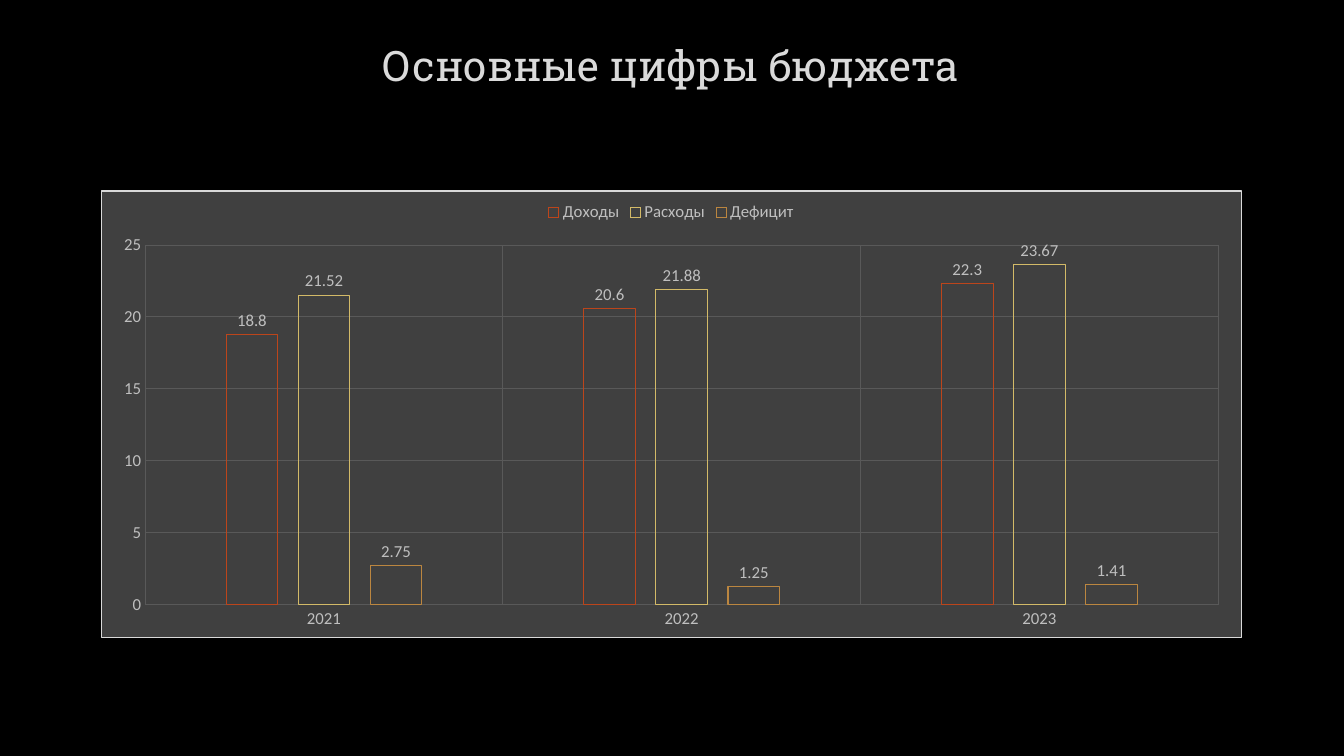
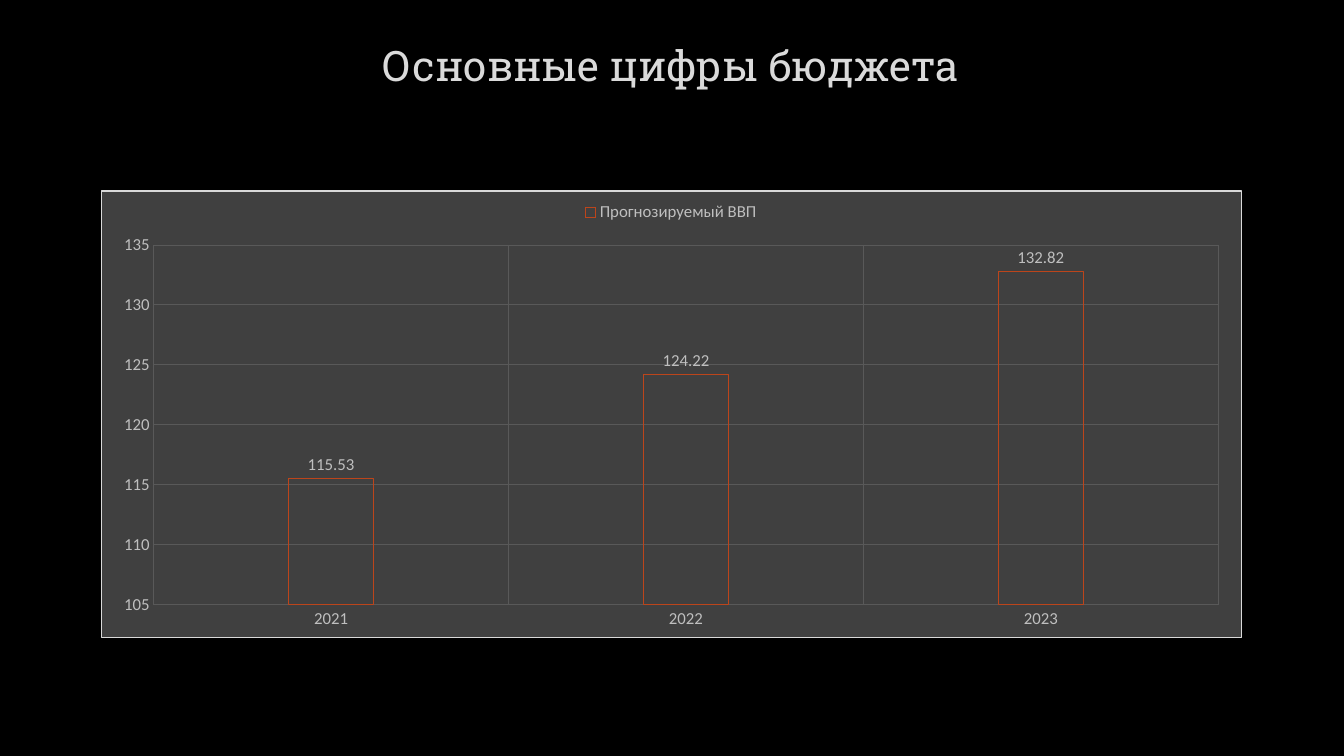
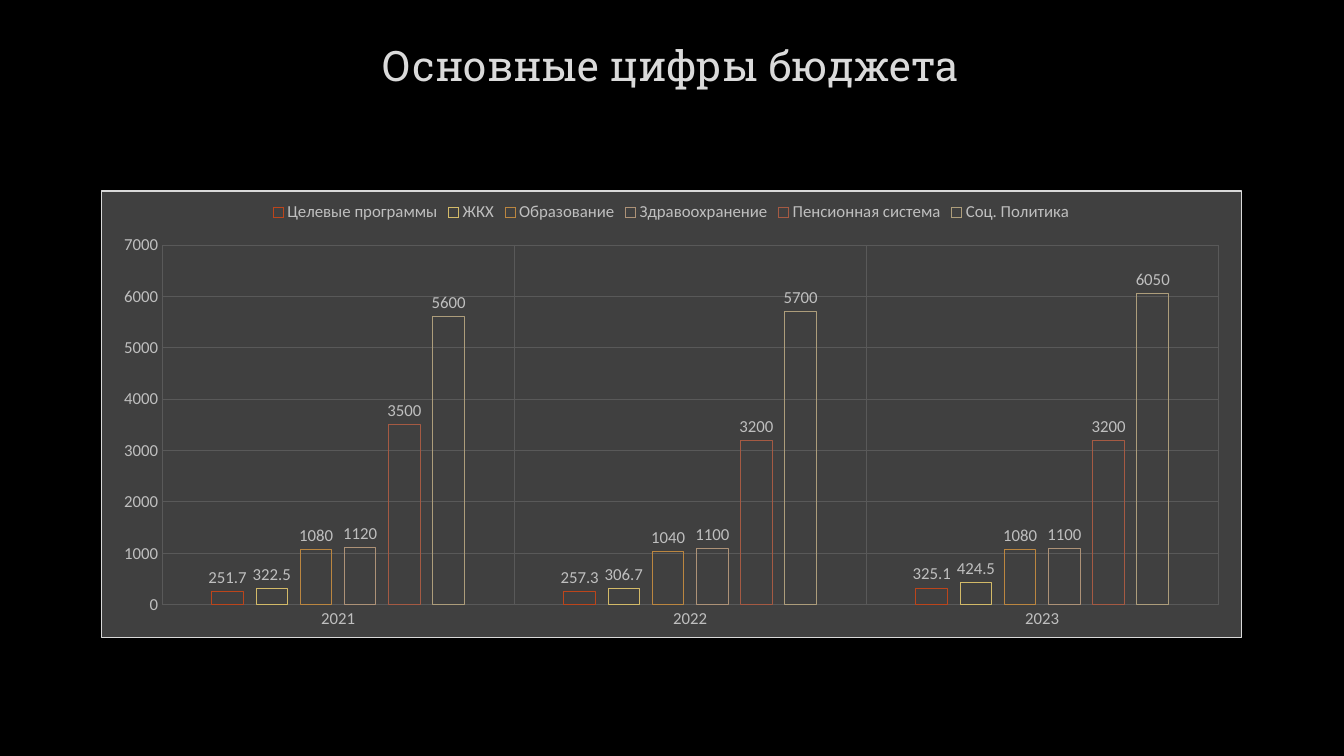
import pptx
import pptx.util
import pptx.chart.data
import pptx.dml.color
import pptx.enum.chart
import pptx.enum.text
import pptx.oxml
import pptx.oxml.ns

Cm, Pt = pptx.util.Cm, pptx.util.Pt
Color = pptx.dml.color.RGBColor
Kind = pptx.enum.chart

# Shared colours
BLACK = Color(0x00, 0x00, 0x00)
PANEL = Color(0x40, 0x40, 0x40)
GRID = Color(0x59, 0x59, 0x59)
BORDER = Color(0xD9, 0xD9, 0xD9)
HEAD = Color(0xDA, 0xDA, 0xDA)
LABEL = Color(0xBF, 0xBF, 0xBF)
BARS = [
    Color(0xBC, 0x45, 0x1B), Color(0xD3, 0xBA, 0x68), Color(0xBB, 0x86, 0x40),
    Color(0xAD, 0x92, 0x77), Color(0xA5, 0x5A, 0x43), Color(0xAD, 0x9D, 0x7B),
]

# Shared layout and text styles
LEFT, WIDTH = Cm(2.54), Cm(28.75)
THIN = Pt(0.75)
TITLE = "Основные цифры бюджета"
TITLE_FONT = {"name": "Roboto Slab", "size": Pt(30), "bold": False}
CHART_FONT = {"name": "Calibri", "size": Pt(12), "bold": False}
YEARS = ["2021", "2022", "2023"]

# Each slide: series by name, then the value scale
CHARTS = [
    ({"Доходы": (18.8, 20.6, 22.3),
      "Расходы": (21.52, 21.88, 23.67),
      "Дефицит": (2.75, 1.25, 1.41)},
     {"minimum_scale": 0, "maximum_scale": 25, "major_unit": 5}),
    ({"Прогнозируемый ВВП": (115.53, 124.22, 132.82)},
     {"minimum_scale": 105, "maximum_scale": 135, "major_unit": 5}),
    ({"Целевые программы": (251.7, 257.3, 325.1),
      "ЖКХ": (322.5, 306.7, 424.5),
      "Образование": (1080, 1040, 1080),
      "Здравоохранение": (1120, 1100, 1100),
      "Пенсионная система": (3500, 3200, 3200),
      "Соц. Политика": (5600, 5700, 6050)},
     {"minimum_scale": 0, "maximum_scale": 7000, "major_unit": 1000}),
]


def apply(target, values):
    for name, value in values.items():
        setattr(target, name, value)


def style_font(font, values, color):
    apply(font, values)
    font.color.rgb = color


def style_line(line, color):
    line.width = THIN
    line.fill.solid()
    line.fill.fore_color.rgb = color


def add_title(slide):
    box = slide.shapes.add_textbox(LEFT, Cm(0.28), WIDTH, Cm(2.69))
    frame = box.text_frame
    apply(frame, {"word_wrap": True,
                  "vertical_anchor": pptx.enum.text.MSO_ANCHOR.MIDDLE})
    para = frame.paragraphs[0]
    para.alignment = pptx.enum.text.PP_ALIGN.CENTER
    run = para.add_run()
    run.text = TITLE
    style_font(run.font, TITLE_FONT, HEAD)


def paint_panel(chart):
    """Fill and border of the whole chart area."""
    xml = (
        f'<c:spPr {pptx.oxml.ns.nsdecls("c", "a")}>'
        f'<a:solidFill><a:srgbClr val="{PANEL}"/></a:solidFill>'
        f'<a:ln w="{THIN}"><a:solidFill><a:srgbClr val="{BORDER}"/></a:solidFill></a:ln>'
        '</c:spPr>'
    )
    area = chart.element.find(pptx.oxml.ns.qn("c:chart"))
    area.addnext(pptx.oxml.parse_xml(xml))


def style_axis(axis):
    apply(axis, {"has_major_gridlines": True,
                 "major_tick_mark": Kind.XL_TICK_MARK.NONE,
                 "minor_tick_mark": Kind.XL_TICK_MARK.NONE})
    axis.format.line.fill.background()
    style_line(axis.major_gridlines.format.line, GRID)
    style_font(axis.tick_labels.font, CHART_FONT, LABEL)


def style_bars(plot):
    apply(plot, {"gap_width": 315, "overlap": -40,
                 "vary_by_categories": False})
    for series, color in zip(plot.series, BARS):
        series.format.fill.background()
        style_line(series.format.line, color)
        labels = series.data_labels
        apply(labels, {"show_value": True,
                       "position": Kind.XL_LABEL_POSITION.OUTSIDE_END})
        style_font(labels.font, CHART_FONT, LABEL)


def add_bars(slide, rows, scale):
    data = pptx.chart.data.CategoryChartData()
    data.categories = YEARS
    for name, values in rows.items():
        data.add_series(name, values)
    chart = slide.shapes.add_chart(
        Kind.XL_CHART_TYPE.COLUMN_CLUSTERED,
        LEFT, Cm(4.8), WIDTH, Cm(11.28), data).chart
    apply(chart, {"has_title": False, "has_legend": True})
    style_font(chart.font, CHART_FONT, LABEL)
    paint_panel(chart)

    # Legend
    apply(chart.legend, {"position": Kind.XL_LEGEND_POSITION.TOP,
                         "include_in_layout": False})
    style_font(chart.legend.font, CHART_FONT, LABEL)

    # Axes and columns
    for axis in (chart.category_axis, chart.value_axis):
        style_axis(axis)
    apply(chart.value_axis, scale)
    style_bars(chart.plots[0])


def main():
    deck = pptx.Presentation()
    apply(deck, {"slide_width": Cm(33.87), "slide_height": Cm(19.05)})
    for rows, scale in CHARTS:
        slide = deck.slides.add_slide(deck.slide_layouts[6])
        back = slide.background.fill
        back.solid()
        back.fore_color.rgb = BLACK
        add_title(slide)
        add_bars(slide, rows, scale)
    deck.save("out.pptx")


if __name__ == "__main__":
    main()
